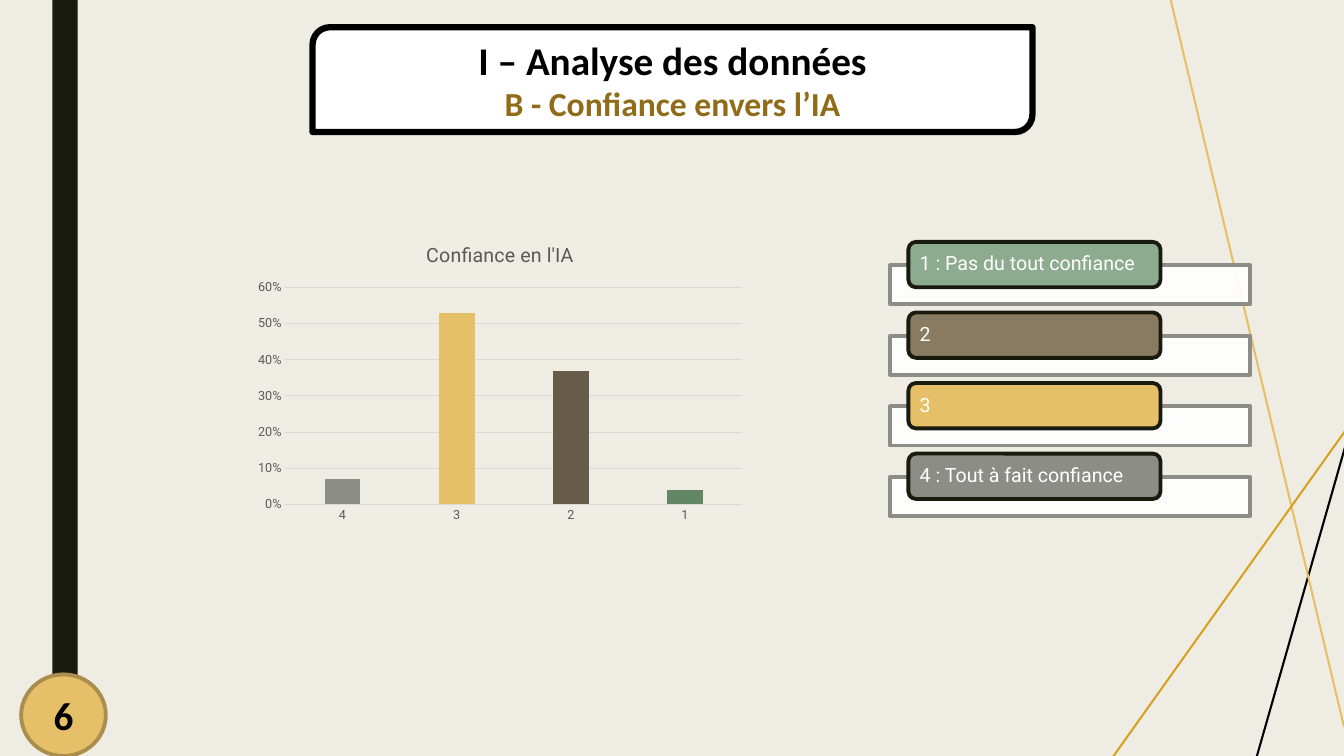
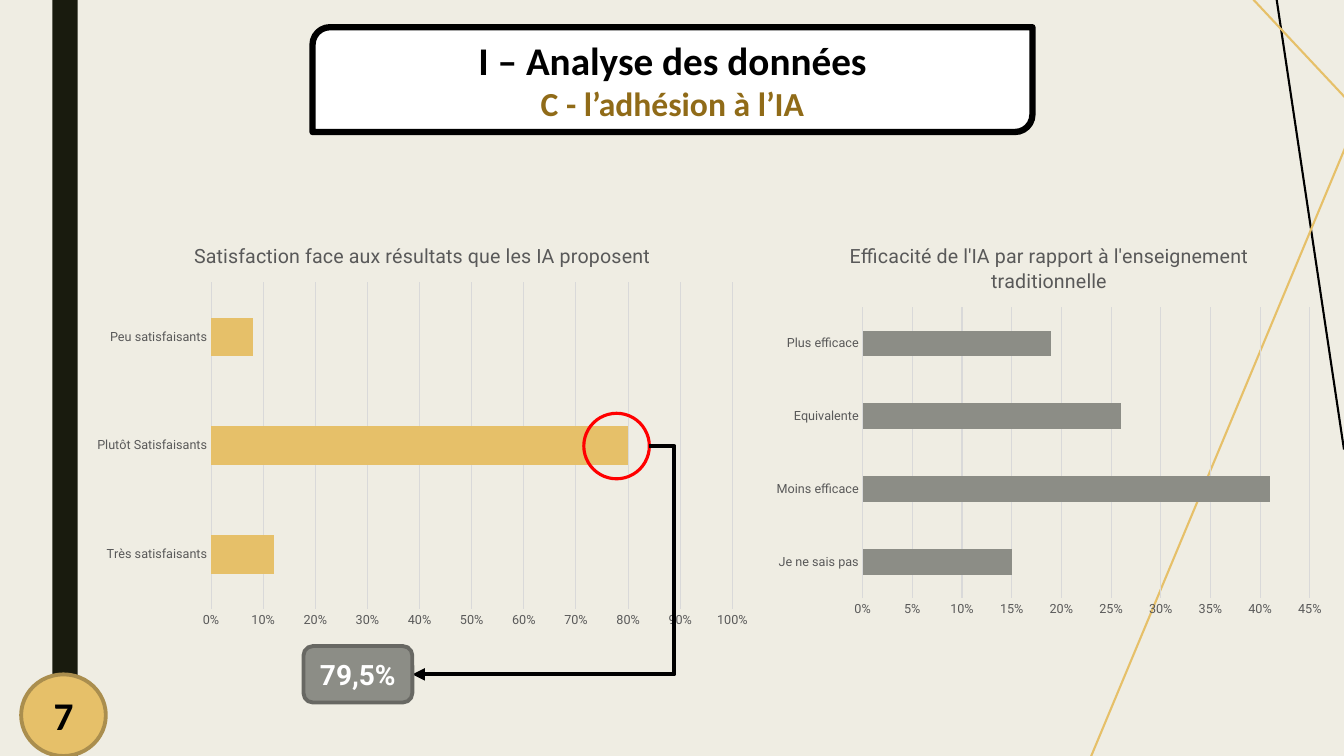
from lxml.etree import SubElement
from pptx import Presentation
from pptx.chart.data import CategoryChartData
from pptx.dml.color import RGBColor
from pptx.enum.chart import XL_CHART_TYPE, XL_TICK_MARK
from pptx.enum.shapes import MSO_CONNECTOR, MSO_SHAPE
from pptx.enum.text import MSO_ANCHOR, PP_ALIGN
from pptx.oxml.ns import qn
from pptx.util import Inches, Pt

BACKGROUND = RGBColor(0xEF, 0xED, 0xE3)
DARK = RGBColor(0x19, 0x1B, 0x0E)
BLACK = RGBColor(0x00, 0x00, 0x00)
WHITE = RGBColor(0xFF, 0xFF, 0xFF)
RED = RGBColor(0xFF, 0x00, 0x00)
GOLD = RGBColor(0xE6, 0xC0, 0x69)
BRIGHT_GOLD = RGBColor(0xD7, 0xA1, 0x24)
GOLD_EDGE = RGBColor(0xAA, 0x8E, 0x4E)
BRONZE = RGBColor(0x90, 0x6B, 0x18)
GRAY = RGBColor(0x8C, 0x8D, 0x86)
GRAY_EDGE = RGBColor(0x68, 0x68, 0x63)
SAGE = RGBColor(0x8D, 0xAB, 0x8E)
GREEN = RGBColor(0x63, 0x87, 0x64)
TAUPE = RGBColor(0x89, 0x7B, 0x61)
BROWN = RGBColor(0x67, 0x5C, 0x49)
CHART_TEXT = RGBColor(0x59, 0x59, 0x59)
GRID = RGBColor(0xD9, 0xD9, 0xD9)

HEADING = {"name": "Calibri", "size": Pt(28), "bold": True, "color": BLACK}
SUBHEADING = {**HEADING, "size": Pt(24), "color": BRONZE}
KEY_TEXT = {"name": "Roboto", "size": Pt(14), "bold": False, "color": WHITE}
CALLOUT_TEXT = {**KEY_TEXT, "size": Pt(20), "bold": True}
CHART_BASE = {"name": "Roboto", "size": Pt(10), "color": BLACK}
CHART_TITLE = {"name": "Roboto", "size": Pt(14), "bold": False, "color": CHART_TEXT}
AXIS_TEXT = {**CHART_TITLE, "size": Pt(9)}


def format_font(font, style):
    for attribute, value in style.items():
        if attribute == "color":
            font.color.rgb = value
        else:
            setattr(font, attribute, value)


def format_line(line, color, width):
    line.color.rgb = color
    line.width = Pt(width)


def add_box(slide, kind, box, fill=None, edge=None, width=2.75):
    shape = slide.shapes.add_shape(kind, *map(Inches, box))
    shape.shadow.inherit = False
    if fill is None:
        shape.fill.background()
    else:
        shape.fill.solid()
        shape.fill.fore_color.rgb = fill
    if edge is None:
        shape.line.fill.background()
    else:
        format_line(shape.line, edge, width)
    return shape


def write_line(paragraph, text, style, align=PP_ALIGN.CENTER, outline=None):
    paragraph.alignment = align
    run = paragraph.add_run()
    run.text = text
    format_font(run.font, style)
    if outline is not None:
        properties = run.font._element
        line = SubElement(properties, qn("a:ln"), w=str(Pt(0.75)))
        fill = SubElement(line, qn("a:solidFill"))
        SubElement(fill, qn("a:srgbClr"), val=str(outline))
        properties.insert(0, line)


def add_line(slide, start, end, color, width=1.5, kind=MSO_CONNECTOR.STRAIGHT):
    connector = slide.shapes.add_connector(kind, *map(Inches, (*start, *end)))
    format_line(connector.line, color, width)
    SubElement(connector._element.spPr, qn("a:effectLst"))
    return connector


def add_frame(presentation, number, subtitle, accent_lines):
    """Add a slide with the side bar, accent lines, page number and title."""
    slide = presentation.slides.add_slide(presentation.slide_layouts[6])
    add_box(slide, MSO_SHAPE.RECTANGLE, (0.52, 0, 0.25, 7.5), DARK)
    for start, end, color in accent_lines:
        add_line(slide, start, end, color)

    badge = add_box(slide, MSO_SHAPE.OVAL, (0.21, 6.69, 0.84, 0.81), GOLD, GOLD_EDGE)
    write_line(badge.text_frame.paragraphs[0], str(number), HEADING, outline=BRONZE)

    banner = add_box(slide, MSO_SHAPE.ROUND_2_DIAG_RECTANGLE,
                     (3.1, 0.27, 7.14, 1.04), WHITE, BLACK, 4.5)
    frame = banner.text_frame
    write_line(frame.paragraphs[0], "I – Analyse des données", HEADING, outline=BRONZE)
    write_line(frame.add_paragraph(), subtitle, SUBHEADING, outline=BLACK)
    return slide


def add_bar_chart(slide, box, kind, title, values, color, gap,
                  overlap=0, point_colors=(), maximum=None):
    data = CategoryChartData(number_format="0%")
    data.categories = list(values)
    data.add_series("Series 1", list(values.values()))
    chart = slide.shapes.add_chart(kind, *map(Inches, box), data).chart
    format_font(chart.font, CHART_BASE)
    chart.has_legend = False
    chart.has_title = True
    write_line(chart.chart_title.text_frame.paragraphs[0], title, CHART_TITLE)
    chart.chart_title.include_in_layout = False

    for axis in (chart.category_axis, chart.value_axis):
        axis.major_tick_mark = axis.minor_tick_mark = XL_TICK_MARK.NONE
        format_font(axis.tick_labels.font, AXIS_TEXT)
    chart.category_axis.has_major_gridlines = False
    format_line(chart.category_axis.format.line, GRID, 0.75)
    value_axis = chart.value_axis
    value_axis.minimum_scale = 0
    value_axis.maximum_scale = maximum
    value_axis.tick_labels.number_format = "0%"
    value_axis.tick_labels.number_format_is_linked = False
    value_axis.format.line.fill.background()
    format_line(value_axis.major_gridlines.format.line, GRID, 0.75)

    plot = chart.plots[0]
    plot.vary_by_categories = False
    plot.gap_width = gap
    plot.overlap = overlap
    series = plot.series[0]
    series.invert_if_negative = False
    fills = [series.format.fill]
    fills += [series.points[index].format.fill
              for index in range(1, len(point_colors) + 1)]
    for fill, fill_color in zip(fills, (color, *point_colors)):
        fill.solid()
        fill.fore_color.rgb = fill_color


def add_scale_key(slide, left, top, entries, pitch=0.7):
    """Stack one coloured tab over a pale strip for each level of the scale."""
    for index, (text, color) in enumerate(entries):
        row_top = top + index * pitch
        strip = add_box(slide, MSO_SHAPE.RECTANGLE,
                        (left, row_top + 0.23, 3.57, 0.39), WHITE, GRAY)
        strip_color = strip.fill._xPr.find(qn("a:solidFill"))[0]
        SubElement(strip_color, qn("a:alpha"), val="90000")
        tab = add_box(slide, MSO_SHAPE.ROUNDED_RECTANGLE,
                      (left + 0.18, row_top, 2.5, 0.45), color, DARK)
        frame = tab.text_frame
        margins = {"margin_left": 0.09, "margin_right": 0.09,
                   "margin_top": 0, "margin_bottom": 0}
        for attribute, value in margins.items():
            setattr(frame, attribute, Inches(value))
        frame.vertical_anchor = MSO_ANCHOR.MIDDLE
        frame.paragraphs[0].line_spacing = 0.9
        write_line(frame.paragraphs[0], text, KEY_TEXT, PP_ALIGN.LEFT)


def add_callout(slide, circle_box, label_box, text):
    """Circle a bar end and lead an elbow arrow from it to a label."""
    add_box(slide, MSO_SHAPE.OVAL, circle_box, None, RED, 2.25)
    left, top, width, height = circle_box
    label_left, label_top, label_width, label_height = label_box
    arrow = add_line(slide, (left + width, top + height / 2),
                     (label_left + label_width, label_top + label_height / 2),
                     BLACK, 3, MSO_CONNECTOR.ELBOW)
    guides = arrow._element.spPr.find(qn("a:prstGeom")).get_or_add_avLst()
    SubElement(guides, qn("a:gd"), name="adj1", fmla="val -10600")
    SubElement(arrow.line._get_or_add_ln(), qn("a:tailEnd"), type="triangle")
    label = add_box(slide, MSO_SHAPE.ROUNDED_RECTANGLE, label_box, GRAY, GRAY_EDGE)
    write_line(label.text_frame.paragraphs[0], text, CALLOUT_TEXT)


def build_trust_slide(presentation):
    slide = add_frame(presentation, 6, "B - Confiance envers l’IA", [
        ((13.63, 3.42), (12.21, 8.4), BLACK),
        ((11.33, -1.18), (13.33, 7.21), GOLD),
        ((10.51, 8.25), (14.05, 3.28), BRIGHT_GOLD),
    ])
    add_scale_key(slide, 8.83, 2.4, [
        ("1 : Pas du tout confiance", SAGE),
        ("2", TAUPE),
        ("3", GOLD),
        ("4 : Tout à fait confiance", GRAY),
    ])
    add_bar_chart(slide, (2.46, 2.25, 5, 3), XL_CHART_TYPE.COLUMN_CLUSTERED,
                  "Confiance en l'IA",
                  {"4": 0.07, "3": 0.53, "2": 0.37, "1": 0.04},
                  GRAY, 219, -27, (GOLD, BROWN, GREEN))


def build_adoption_slide(presentation):
    slide = add_frame(presentation, 7, "C - l’adhésion à l’IA", [
        ((13.33, 4.46), (12.44, -1.49), BLACK),
        ((11.33, -1.18), (13.54, 1.18), GOLD),
        ((10.51, 8.25), (13.54, 0.99), GOLD),
    ])
    add_bar_chart(slide, (0.83, 2.23, 6.72, 4.08), XL_CHART_TYPE.BAR_CLUSTERED,
                  "Satisfaction face aux résultats que les IA proposent",
                  {"Très satisfaisants": 0.12, "Plutôt Satisfaisants": 0.8,
                   "Peu satisfaisants": 0.08},
                  GOLD, 182, maximum=1)
    add_callout(slide, (5.79, 4.1, 0.65, 0.65), (3.01, 6.41, 1.08, 0.56), "79,5%")
    add_bar_chart(slide, (7.59, 2.24, 5.63, 3.96), XL_CHART_TYPE.BAR_CLUSTERED,
                  "Efficacité de l'IA par rapport à l'enseignement traditionnelle",
                  {"Je ne sais pas": 0.15, "Moins efficace": 0.41,
                   "Equivalente": 0.26, "Plus efficace": 0.19},
                  GRAY, 182)


def main():
    presentation = Presentation()
    presentation.slide_width = Inches(13.33)
    presentation.slide_height = Inches(7.5)
    background = presentation.slide_master.background.fill
    background.solid()
    background.fore_color.rgb = BACKGROUND
    build_trust_slide(presentation)
    build_adoption_slide(presentation)
    presentation.save("out.pptx")


if __name__ == "__main__":
    main()
